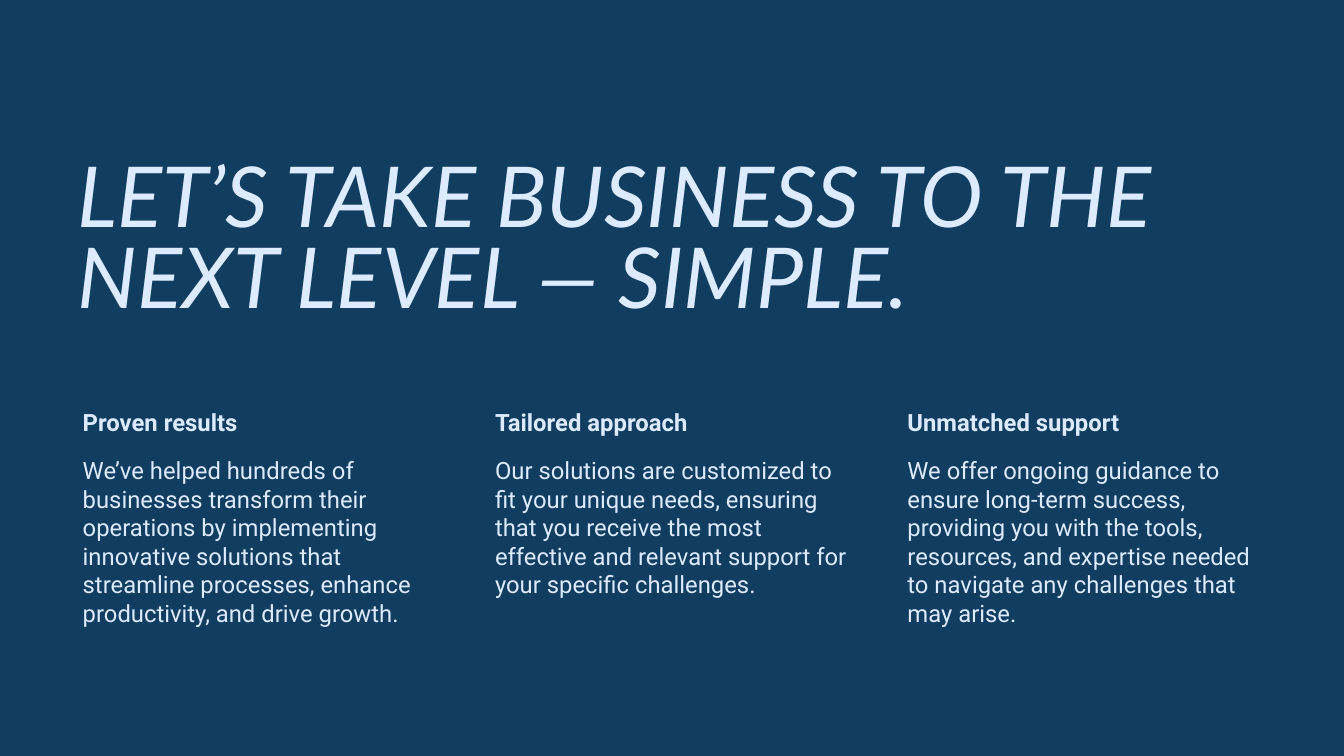
from pptx import Presentation
from pptx.dml.color import RGBColor
from pptx.enum import text
from pptx.util import Inches, Pt

TITLE = "LET’S TAKE BUSINESS TO THE NEXT LEVEL — SIMPLE."
POINTS = [
    ("Proven results",
     "We’ve helped hundreds of businesses transform their operations by "
     "implementing innovative solutions that streamline processes, enhance "
     "productivity, and drive growth."),
    ("Tailored approach",
     "Our solutions are customized to fit your unique needs, ensuring that "
     "you receive the most effective and relevant support for your specific "
     "challenges."),
    ("Unmatched support",
     "We offer ongoing guidance to ensure long-term success, providing you "
     "with the tools, resources, and expertise needed to navigate any "
     "challenges that may arise."),
]
COLORS = {"back": "113D61", "text": "DCEBFF"}
LEFT, WIDTH, STEP = 0.67, 3.72, 4.09
INSETS = (0.15, 0.02, 0.02, 0.02)


def add_text(slide, words, area, size, face, insets, bold=False, italic=False):
    box = slide.shapes.add_textbox(*map(Inches, area))
    frame = box.text_frame
    frame.word_wrap = True
    (frame.margin_left, frame.margin_top,
     frame.margin_right, frame.margin_bottom) = map(Inches, insets)
    para = frame.paragraphs[0]
    para.text = words
    font = para.font
    font.name, font.size = face, Pt(size)
    font.bold, font.italic = bold, italic
    font.color.rgb = RGBColor.from_string(COLORS["text"])
    return frame


def main():
    deck = Presentation()
    deck.slide_width, deck.slide_height = Inches(13.33), Inches(7.5)
    slide = deck.slides.add_slide(deck.slide_layouts[6])
    fill = slide.background.fill
    fill.solid()
    fill.fore_color.rgb = RGBColor.from_string(COLORS["back"])

    # Title
    title = add_text(slide, TITLE, (LEFT, 1.38, 11.05, 1.89), 60, "Lato",
                     (0.1, 0.05, 0.1, 0.05), italic=True)
    title.vertical_anchor = text.MSO_ANCHOR.BOTTOM
    title.paragraphs[0].line_spacing = 0.8

    # Three columns: heading above body
    for col, (head, body) in enumerate(POINTS):
        x = LEFT + col * STEP
        add_text(slide, head, (x, 4.02, WIDTH, 0.6), 17, "Roboto", INSETS,
                 bold=True)
        add_text(slide, body, (x, 4.5, WIDTH, 2.68), 17, "Roboto", INSETS)

    deck.save("out.pptx")


if __name__ == "__main__":
    main()
